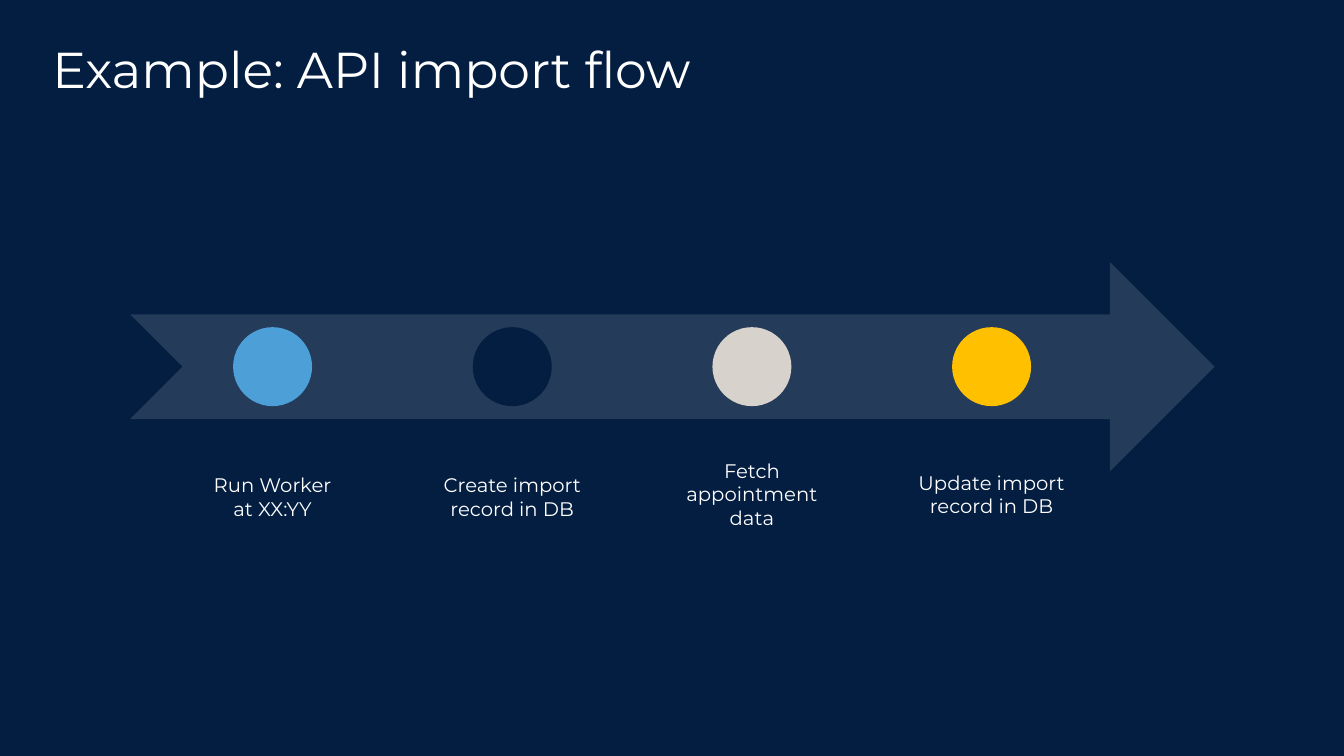
"""Build the API import flow slide: four milestones along a wide arrow."""
from copy import deepcopy
from dataclasses import dataclass

from pptx import Presentation
from pptx.dml.color import RGBColor
from pptx.enum.shapes import MSO_SHAPE
from pptx.enum.text import MSO_ANCHOR, PP_ALIGN
from pptx.oxml.ns import qn
from pptx.oxml.xmlchemy import OxmlElement
from pptx.shapes.autoshape import Shape
from pptx.slide import Slide
from pptx.util import Cm, Pt


@dataclass(frozen=True)
class Theme:
    font: str = "Montserrat"
    title_size: int = 36
    label_size: int = 14
    background: str = "041E41"
    text: str = "FFFFFF"
    arrow: str = "FFFFFF"
    arrow_opacity: int = 13
    blue: str = "4C9FD7"
    stone: str = "D7D2CB"
    amber: str = "FFC000"


@dataclass(frozen=True)
class Box:
    left: float
    top: float
    width: float
    height: float

    def lengths(self) -> tuple[Cm, Cm, Cm, Cm]:
        return Cm(self.left), Cm(self.top), Cm(self.width), Cm(self.height)


@dataclass(frozen=True)
class Step:
    text: str
    color: str
    label_top: float
    label_height: float = 1.52


THEME = Theme()
TITLE_BOX = Box(1.19, 0.84, 18.24, 1.8)
ARROW_BOX = Box(3.28, 6.6, 27.33, 5.28)
FIRST_CENTER = 6.87
STEP_PITCH = 6.04
DOT_SIZE = 1.99
LABEL_WIDTH = 4.37
INSET = 0.13
STEPS = (
    Step("Run Worker\nat XX:YY", THEME.blue, 11.79),
    Step("Create import\vrecord in DB", THEME.background, 11.79),
    Step("Fetch appointment data", THEME.stone, 11.43, 2.16),
    Step("Update import record in DB", THEME.amber, 11.73),
)


def write_text(shape: Shape, text: str, *, size: int, align: PP_ALIGN) -> None:
    frame = shape.text_frame
    frame.word_wrap = True
    frame.vertical_anchor = MSO_ANCHOR.TOP
    frame.margin_left = frame.margin_right = Cm(INSET)
    frame.margin_top = frame.margin_bottom = Cm(INSET)
    frame.text = text
    for paragraph in frame.paragraphs:
        paragraph.alignment = align
        for run in paragraph.runs:
            run.font.name = THEME.font
            run.font.size = Pt(size)
            run.font.color.rgb = RGBColor.from_string(THEME.text)
        for line_break in paragraph._p.findall(qn("a:br")):
            line_break.insert(0, deepcopy(paragraph.runs[0]._r.rPr))


def add_filled_shape(
    slide: Slide, kind: MSO_SHAPE, box: Box, color: str, opacity: int = 100
) -> None:
    shape = slide.shapes.add_shape(kind, *box.lengths())
    shape.shadow.inherit = False
    shape.line.fill.background()
    shape.fill.solid()
    shape.fill.fore_color.rgb = RGBColor.from_string(color)
    if opacity < 100:
        alpha = OxmlElement("a:alpha")
        alpha.set("val", str(opacity * 1000))
        shape._element.spPr.find(f".//{qn('a:srgbClr')}").append(alpha)


def add_title(slide: Slide, text: str) -> None:
    title = slide.shapes.title
    title.left, title.top, title.width, title.height = TITLE_BOX.lengths()
    write_text(title, text, size=THEME.title_size, align=PP_ALIGN.LEFT)


def add_step(slide: Slide, step: Step, center: float) -> None:
    middle = ARROW_BOX.top + ARROW_BOX.height / 2
    dot = Box(center - DOT_SIZE / 2, middle - DOT_SIZE / 2, DOT_SIZE, DOT_SIZE)
    add_filled_shape(slide, MSO_SHAPE.OVAL, dot, step.color)
    label_box = Box(
        center - LABEL_WIDTH / 2, step.label_top, LABEL_WIDTH, step.label_height
    )
    label = slide.shapes.add_textbox(*label_box.lengths())
    write_text(label, step.text, size=THEME.label_size, align=PP_ALIGN.CENTER)


def main() -> None:
    presentation = Presentation()
    presentation.slide_width = Cm(33.87)
    presentation.slide_height = Cm(19.05)
    slide = presentation.slides.add_slide(presentation.slide_layouts[5])
    slide.background.fill.solid()
    slide.background.fill.fore_color.rgb = RGBColor.from_string(THEME.background)

    add_title(slide, "Example: API import flow")
    add_filled_shape(
        slide, MSO_SHAPE.NOTCHED_RIGHT_ARROW, ARROW_BOX, THEME.arrow, THEME.arrow_opacity
    )
    for index, step in enumerate(STEPS):
        add_step(slide, step, FIRST_CENTER + index * STEP_PITCH)
    presentation.save("out.pptx")


if __name__ == "__main__":
    main()
